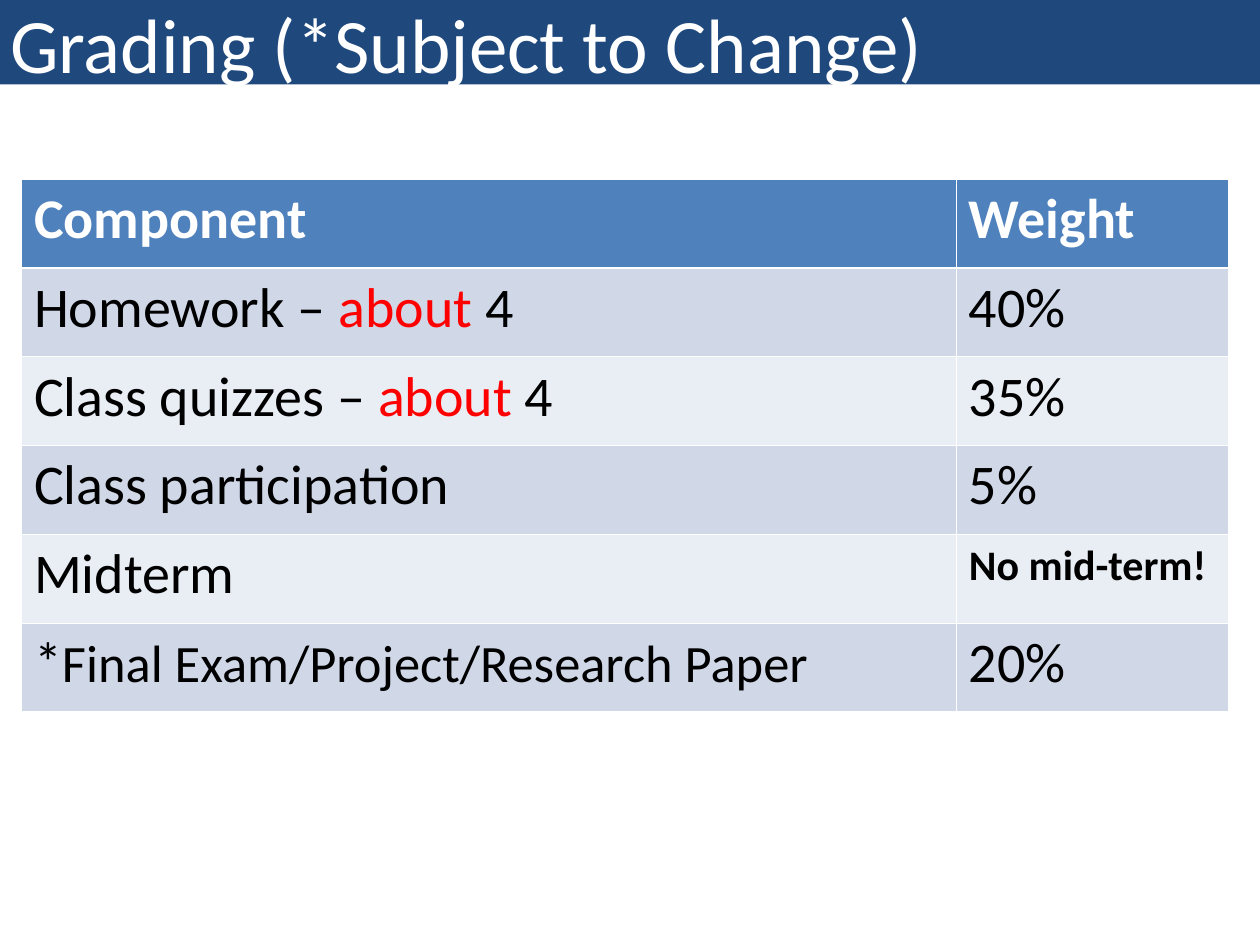
from lxml import etree
from pptx import Presentation
from pptx.dml.color import RGBColor
from pptx.enum.text import MSO_ANCHOR, MSO_AUTO_SIZE, PP_ALIGN
from pptx.oxml.ns import qn
from pptx.util import Inches, Pt

MIDDLE = MSO_ANCHOR.MIDDLE
NO_AUTOFIT = MSO_AUTO_SIZE.NONE
LEFT = PP_ALIGN.LEFT

FONT = "Calibri"
TITLE_ONLY = 5
COLORS = {
    "title_band": "1F497D",
    "header": "4F81BD",
    "odd_row": "D0D8E8",
    "even_row": "E9EDF4",
    "white": "FFFFFF",
    "text": "000000",
    "accent": "FF0000",
}
BODY = {"size": 32, "color": "text", "bold": False}
HEADER = {"size": 32, "color": "white", "bold": True}
ABOUT = ("about", {"color": "accent"})

# Each cell is a list of (text, changes to the row's style).
GRADING = [
    ([("Component", {})], [("Weight", {})]),
    ([("Homework – ", {}), ABOUT, (" 4", {})], [("40%", {})]),
    ([("Class quizzes – ", {}), ABOUT, (" 4", {})], [("35%", {})]),
    ([("Class participation", {})], [("5%", {})]),
    ([("Midterm", {})], [("No mid-term!", {"size": 24, "bold": True})]),
    ([("*", {}), ("Final Exam/Project/Research Paper", {"size": 30})],
     [("20%", {})]),
]
COLUMN_WIDTHS = (7.42, 2.16)
ROW_HEIGHT = 0.705
THIN, THICK = 0.45, 1.47


def rgb(name):
    return RGBColor.from_string(COLORS[name])


def style_run(run, size, color, bold=False):
    run.font.name = FONT
    run.font.size = Pt(size)
    run.font.bold = bold
    run.font.color.rgb = rgb(color)


def set_borders(cell, top, bottom):
    """Draw white cell borders; must run before the cell is filled."""
    properties = cell._tc.get_or_add_tcPr()
    widths = {"a:lnL": THIN, "a:lnR": THIN, "a:lnT": top, "a:lnB": bottom}
    for tag, width in widths.items():
        line = etree.SubElement(properties, qn(tag), w=str(Pt(width)))
        fill = etree.SubElement(line, qn("a:solidFill"))
        etree.SubElement(fill, qn("a:srgbClr"), val=COLORS["white"])


def add_title(slide, text):
    title = slide.shapes.title
    title.left, title.top = Inches(-0.02), Inches(0)
    title.width, title.height = Inches(10.02), Inches(0.67)
    title.fill.solid()
    title.fill.fore_color.rgb = rgb("title_band")
    frame = title.text_frame
    frame.text = text
    frame.word_wrap = True
    frame.auto_size = NO_AUTOFIT
    frame.vertical_anchor = MIDDLE
    paragraph = frame.paragraphs[0]
    paragraph.alignment = LEFT
    style_run(paragraph.runs[0], 44, "white")


def fill_cell(cell, pieces, row_index):
    is_header = row_index == 0
    set_borders(cell,
                top=THICK if row_index == 1 else THIN,
                bottom=THICK if is_header else THIN)
    cell.fill.solid()
    band = "header" if is_header else ("even_row", "odd_row")[row_index % 2]
    cell.fill.fore_color.rgb = rgb(band)
    row_style = HEADER if is_header else BODY
    for text, changes in pieces:
        run = cell.text_frame.paragraphs[0].add_run()
        run.text = text
        style_run(run, **{**row_style, **changes})


def add_grading_table(slide):
    table = slide.shapes.add_table(
        len(GRADING), len(COLUMN_WIDTHS), Inches(0.17), Inches(1.42),
        Inches(sum(COLUMN_WIDTHS)), Inches(ROW_HEIGHT * len(GRADING))).table
    for column, width in zip(table.columns, COLUMN_WIDTHS):
        column.width = Inches(width)
    for row_index, components in enumerate(GRADING):
        table.rows[row_index].height = Inches(ROW_HEIGHT)
        for column_index, pieces in enumerate(components):
            fill_cell(table.cell(row_index, column_index), pieces, row_index)


def main():
    presentation = Presentation()
    presentation.slide_width = Inches(10)
    presentation.slide_height = Inches(7.5)
    slide = presentation.slides.add_slide(
        presentation.slide_layouts[TITLE_ONLY])
    add_title(slide, "Grading (*Subject to Change)")
    add_grading_table(slide)
    presentation.save("out.pptx")


if __name__ == "__main__":
    main()
